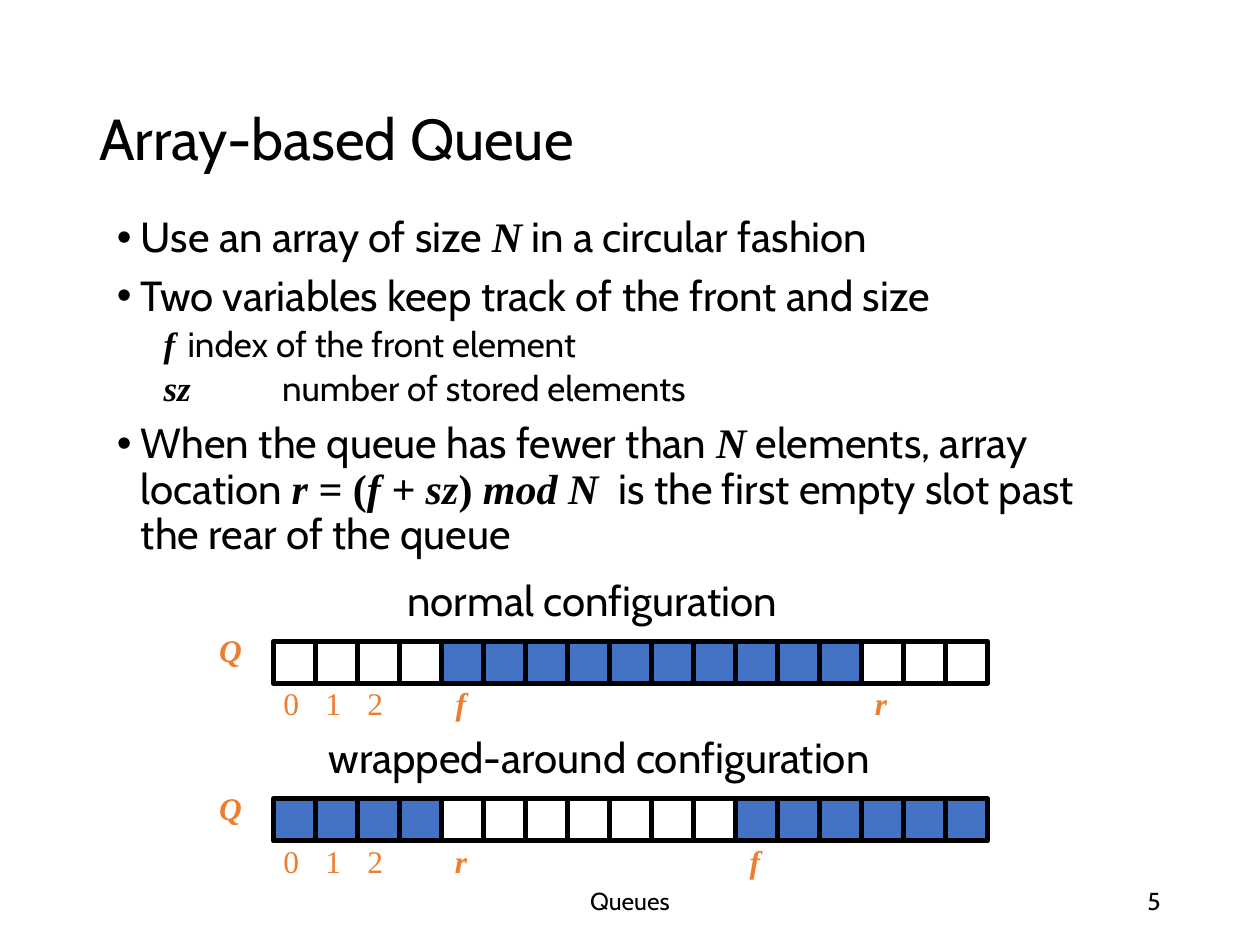
from lxml.etree import SubElement
from pptx import Presentation
from pptx.dml.color import RGBColor
from pptx.enum.shapes import MSO_SHAPE as Shape
from pptx.enum.text import MSO_ANCHOR as Anchor, MSO_AUTO_SIZE as AutoSize, PP_ALIGN as Align
from pptx.oxml.ns import qn
from pptx.util import Inches, Pt

BLACK, WHITE, BLUE, ORANGE = "000000", "FFFFFF", "4472C4", "ED7D31"
SANS, SERIF = "Cabin", "Times New Roman"
CELL = 1 / 3
ARRAY_LEFT = 2.17
ARRAY_SIZE = 17


def color(hex_code):
    return RGBColor.from_string(hex_code)


class QueueSlide:
    def __init__(self, slide):
        self.slide = slide
        self.shapes = slide.shapes

    def start_group(self):
        self.shapes = self.slide.shapes.add_group_shape().shapes

    def end_group(self):
        self.shapes = self.slide.shapes

    def style(self, run, size, font=SANS, hex_code=BLACK, bold=False, italic=False):
        run.font.size = Pt(size)
        run.font.name = font
        run.font.color.rgb = color(hex_code)
        run.font.bold = bold
        run.font.italic = italic

    def frame(self, left, top, width, height, wrap=True, grow=False, anchor=Anchor.TOP):
        box = self.shapes.add_textbox(Inches(left), Inches(top), Inches(width), Inches(height))
        frame = box.text_frame
        frame.word_wrap = wrap
        frame.auto_size = AutoSize.SHAPE_TO_FIT_TEXT if grow else AutoSize.NONE
        frame.vertical_anchor = anchor
        return frame

    def line(self, text, place, size, align=Align.LEFT, **frame_options):
        frame = self.frame(*place, **frame_options)
        frame.text = text
        paragraph = frame.paragraphs[0]
        paragraph.alignment = align
        self.style(paragraph.runs[0], size)
        return paragraph

    def array_label(self, text, place, variable=True):
        frame = self.frame(*place, wrap=variable, grow=True)
        frame.margin_left = frame.margin_right = 0
        frame.margin_top = frame.margin_bottom = 0
        frame.text = text
        paragraph = frame.paragraphs[0]
        paragraph.alignment = Align.CENTER if variable else Align.LEFT
        self.style(paragraph.runs[0], 18, SERIF, ORANGE, variable, variable)

    def cell(self, left, top, fill):
        cell = self.shapes.add_shape(
            Shape.RECTANGLE, Inches(left), Inches(top), Inches(CELL), Inches(CELL))
        cell.shadow.inherit = False
        cell.fill.solid()
        cell.fill.fore_color.rgb = color(fill)
        cell.line.color.rgb = color(BLACK)
        cell.line.width = Pt(3)

    def point(self, paragraph, level, parts):
        """Fill one paragraph; parts are (text, style) with "", "b" or "bi"."""
        paragraph.level = level
        paragraph.line_spacing = 0.9
        paragraph.space_before = Pt(3.8 if level else 7.5)
        for text, marks in parts:
            run = paragraph.add_run()
            run.text = text
            self.style(run, 20 if level else 24, SERIF if marks else SANS,
                       bold="b" in marks, italic="i" in marks)
        # Hanging indent, tab distance and bullet
        props = paragraph._p.get_or_add_pPr()
        props.set("marL", str(Inches(0.56 if level else 0.19)))
        props.set("indent", str(Inches(-0.19)))
        props.set("defTabSz", str(Inches(0.75)))
        if level:
            SubElement(props, qn("a:buNone"))
        else:
            SubElement(props, qn("a:buFont")).set("typeface", "Arial")
            SubElement(props, qn("a:buChar")).set("char", "•")

    def points(self, place, items):
        frame = self.frame(*place)
        for number, (level, parts) in enumerate(items):
            paragraph = frame.add_paragraph() if number else frame.paragraphs[0]
            self.point(paragraph, level, parts)

    def queue_array(self, top, filled, front, rear):
        self.start_group()
        label_top = top + 0.34
        self.array_label("Q", (1.67, top - 0.08, 0.32, 0.4))
        for index in range(3):
            self.array_label(str(index), (2.25 + index * CELL, label_top, 0.17, 0.4),
                             variable=False)
        for name, index in (("f", front), ("r", rear)):
            self.array_label(name, (ARRAY_LEFT + index * CELL, label_top, 0.31, 0.4))
        for index in range(ARRAY_SIZE):
            self.cell(ARRAY_LEFT + index * CELL, top, BLUE if index in filled else WHITE)
        self.end_group()


POINTS = [
    (0, [("Use an array of size ", ""), ("N", "bi"), (" in a circular fashion", "")]),
    (0, [("Two variables keep track of the front and size", "")]),
    (1, [("f", "bi"), (" \tindex of the front element", "")]),
    (1, [("sz", "bi"), ("\tnumber of stored elements", "")]),
    (0, [("When the queue has fewer than ", ""), ("N", "bi"),
         (" elements, array location ", ""), ("r = ", "bi"), ("(", "b"),
         ("f + sz", "bi"), (")", "b"), (" mod N ", "bi"),
         (" is the first empty slot past the rear of the queue", "")]),
]

# Caption, its place, array top, front index, stored elements
CONFIGURATIONS = [
    ("normal configuration", (3.08, 4.51, 3.24, 0.5), 5.09, 4, 10),
    ("wrapped-around configuration", (2.43, 5.76, 4.65, 0.5), 6.34, 11, 10),
]


def main():
    deck = Presentation()
    deck.slide_width, deck.slide_height = Inches(10), Inches(7.5)
    page = QueueSlide(deck.slides.add_slide(deck.slide_layouts[6]))

    # Title and points
    title = page.line("Array-based Queue", (0.69, 0.4, 8.62, 1.45), 33, anchor=Anchor.MIDDLE)
    title.line_spacing = 0.9
    page.points((0.83, 1.67, 8.25, 3), POINTS)

    # Footer
    page.line("Queues", (3.31, 6.95, 3.38, 0.4), 14, Align.CENTER, anchor=Anchor.MIDDLE)
    page.line("5", (7.06, 6.95, 2.25, 0.4), 14, Align.RIGHT, anchor=Anchor.MIDDLE)

    # Circular arrays: the rear follows the stored elements, modulo the size
    for caption, place, top, front, stored in CONFIGURATIONS:
        filled = {(front + step) % ARRAY_SIZE for step in range(stored)}
        page.queue_array(top, filled, front, (front + stored) % ARRAY_SIZE)
        page.line(caption, place, 24, Align.CENTER, wrap=False, grow=True)

    deck.save("out.pptx")


if __name__ == "__main__":
    main()
